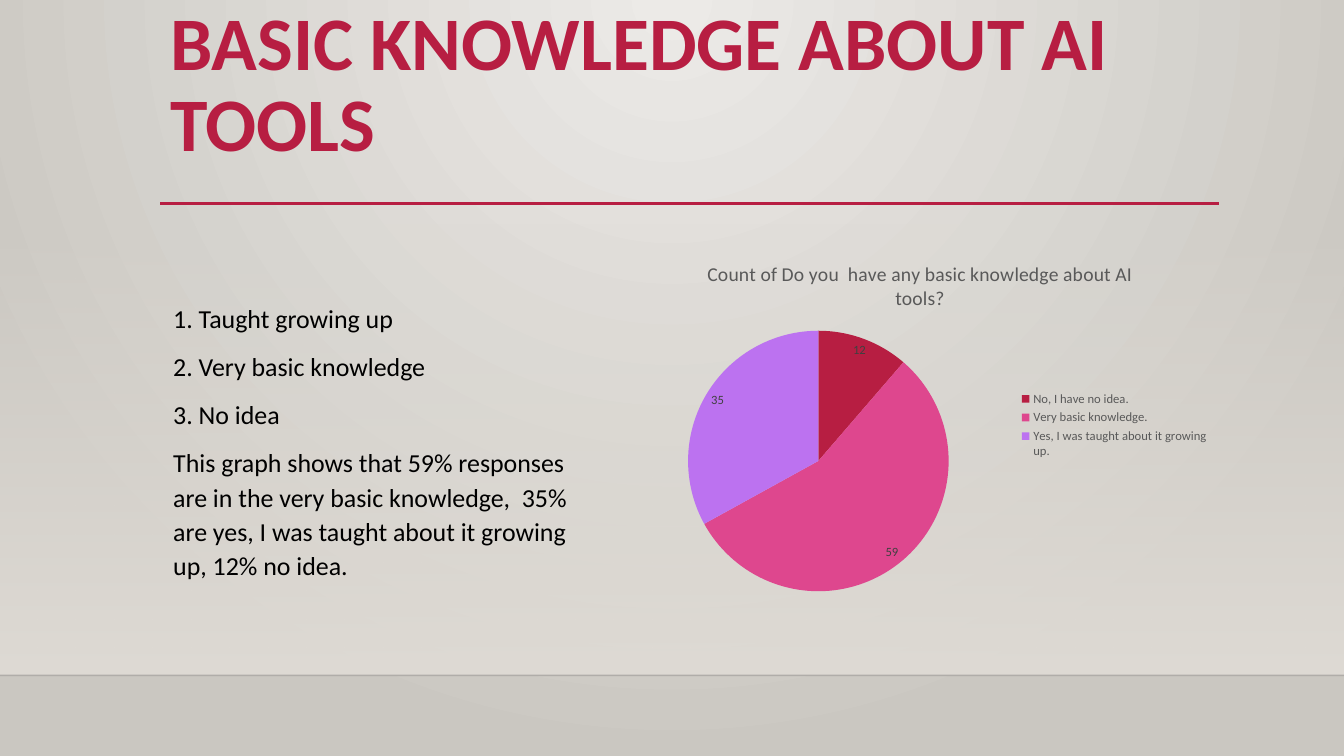
from lxml import etree
from pptx import Presentation
from pptx import util as u
from pptx.chart import data as chart_data
from pptx.dml.color import RGBColor
from pptx.enum import chart as charts, shapes, text
from pptx.oxml import ns, parse_xml

FONT = "Calibri"
COLORS = {
    "crimson": "B71E42", "pink": "DE478E", "violet": "BC72F0",
    "black": "000000", "edge": "000001", "label": "404040", "muted": "595959",
    "glow": "ECEAE7", "shade": "CAC7C1", "panel": "DFDBD5",
}
FINDINGS = [
    "1. Taught growing up",
    "2. Very basic knowledge",
    "3. No idea",
    "This graph shows that 59% responses are in the very basic knowledge,  35% "
    "are yes, I was taught about it growing up, 12% no idea.",
]
ANSWERS = [  # answer, count, colour
    ("No, I have no idea.", 12, "crimson"),
    ("Very basic knowledge.", 59, "pink"),
    ("Yes, I was taught about it growing up.", 35, "violet"),
]


def rgb(name):
    return RGBColor.from_string(COLORS[name])


def style(font, size, color, bold=False):
    font.name, font.size, font.bold = FONT, u.Pt(size), bold
    font.color.rgb = rgb(color)


def set_gradient(owner, stops, direction):
    """Rewrite the gradient inside owner; stops are (position, colour, opacity) in percent."""
    gradient = next(owner.iter(ns.qn("a:gradFill")))
    marks = "".join(
        f'<a:gs pos="{pos * 1000}"><a:srgbClr val="{COLORS[color]}">'
        f'<a:alpha val="{opacity * 1000}"/></a:srgbClr></a:gs>'
        for pos, color, opacity in stops)
    gradient.getparent().replace(gradient, parse_xml(
        f'<a:gradFill {ns.nsdecls("a")} rotWithShape="1">'
        f'<a:gsLst>{marks}</a:gsLst>{direction}</a:gradFill>'))


def add_rule(slide, left, top, width, color, weight, opacity=100):
    rule = slide.shapes.add_connector(
        shapes.MSO_CONNECTOR.STRAIGHT, u.Inches(left), u.Inches(top),
        u.Inches(left + width), u.Inches(top))
    rule.line.color.rgb = rgb(color)
    rule.line.width = u.Pt(weight)
    if opacity < 100:
        fill = next(rule._element.iter(ns.qn("a:srgbClr")))
        etree.SubElement(fill, ns.qn("a:alpha"), val=str(opacity * 1000))
    etree.SubElement(rule._element.spPr, ns.qn("a:effectLst"))


def add_backdrop(slide, width, floor):
    # Glow from the top centre
    slide.background.fill.gradient()
    set_gradient(
        slide._element, [(0, "glow", 100), (100, "shade", 100)],
        '<a:path path="circle"><a:fillToRect l="43000" t="0" r="43000" b="100000"/></a:path>')

    # Wall fading in down to the floor line
    height = 4.49
    wall = slide.shapes.add_shape(
        shapes.MSO_SHAPE.RECTANGLE, 0, u.Inches(floor - height),
        u.Inches(width), u.Inches(height))
    wall.shadow.inherit = False
    wall.line.fill.background()
    wall.fill.gradient()
    set_gradient(wall._element, [(0, "panel", 0), (100, "panel", 100)],
                 '<a:lin ang="5400000" scaled="0"/>')
    add_rule(slide, 0, floor, width, "edge", 1, opacity=20)


def add_text(slide, box, lines, size, color, spacing, before=0, bold=False):
    frame = slide.shapes.add_textbox(*map(u.Inches, box)).text_frame
    frame.word_wrap = True
    frame.vertical_anchor = text.MSO_ANCHOR.TOP
    frame.text = "\n".join(lines)
    for paragraph in frame.paragraphs:
        paragraph.line_spacing = spacing
        paragraph.space_before = u.Pt(before)
        style(paragraph.font, size, color, bold)


def add_heading(slide, left, top, width, height):
    add_rule(slide, left, top + height + 0.1, width, "crimson", 2.5)
    add_text(slide, (left, top, width, height), ["BASIC KNOWLEDGE ABOUT AI TOOLS"],
             54, "crimson", 0.9, bold=True)


def add_answer_pie(slide, box):
    answers = chart_data.CategoryChartData()
    answers.categories = [answer for answer, _, _ in ANSWERS]
    answers.add_series("Series 1", [count for _, count, _ in ANSWERS])
    pie = slide.shapes.add_chart(
        charts.XL_CHART_TYPE.PIE, *map(u.Inches, box), answers).chart
    style(pie.font, 10, "black")

    # Title and legend
    pie.has_title = True
    title = pie.chart_title.text_frame
    title.text = "Count of Do you  have any basic knowledge about AI tools?"
    style(title.paragraphs[0].font, 14, "muted")
    pie.chart_title.include_in_layout = False
    pie.has_legend = True
    pie.legend.position = charts.XL_LEGEND_POSITION.RIGHT
    pie.legend.include_in_layout = False
    style(pie.legend.font, 9, "muted")

    # Slices and their counts
    plot = pie.plots[0]
    plot.vary_by_categories = True
    for index, (_, _, color) in enumerate(ANSWERS):
        fill = plot.series[0].points[index].format.fill
        fill.solid()
        fill.fore_color.rgb = rgb(color)
    plot.has_data_labels = True
    labels = plot.data_labels
    labels.show_value, labels.show_percentage = True, False
    labels.position = charts.XL_LABEL_POSITION.BEST_FIT
    style(labels.font, 9, "label")

    # Place of the pie, as shares of the chart box
    plot_area = next(pie._chartSpace.iter(ns.qn("c:plotArea")))
    for layout in plot_area.findall(ns.qn("c:layout")):
        plot_area.remove(layout)
    shares = "".join(f'<c:{key} val="{share}"/>' for key, share in
                     (("x", 0.11), ("y", 0.24), ("w", 0.44), ("h", 0.72)))
    plot_area.insert(0, parse_xml(
        f'<c:layout {ns.nsdecls("c")}><c:manualLayout><c:layoutTarget val="inner"/>'
        f'<c:xMode val="edge"/><c:yMode val="edge"/>{shares}</c:manualLayout></c:layout>'))


def main():
    deck = Presentation()
    deck.slide_width, deck.slide_height = u.Inches(13.33), u.Inches(7.5)
    slide = deck.slides.add_slide(deck.slide_layouts[6])
    add_backdrop(slide, 13.33, 6.7)
    add_heading(slide, 1.59, 0, 10.5, 1.92)
    add_text(slide, (1.62, 2.92, 4.14, 3.42), FINDINGS, 18.5, "black", 1.1, before=10)
    add_answer_pie(slide, (6.16, 2.42, 5.93, 3.59))
    deck.save("out.pptx")


if __name__ == "__main__":
    main()
